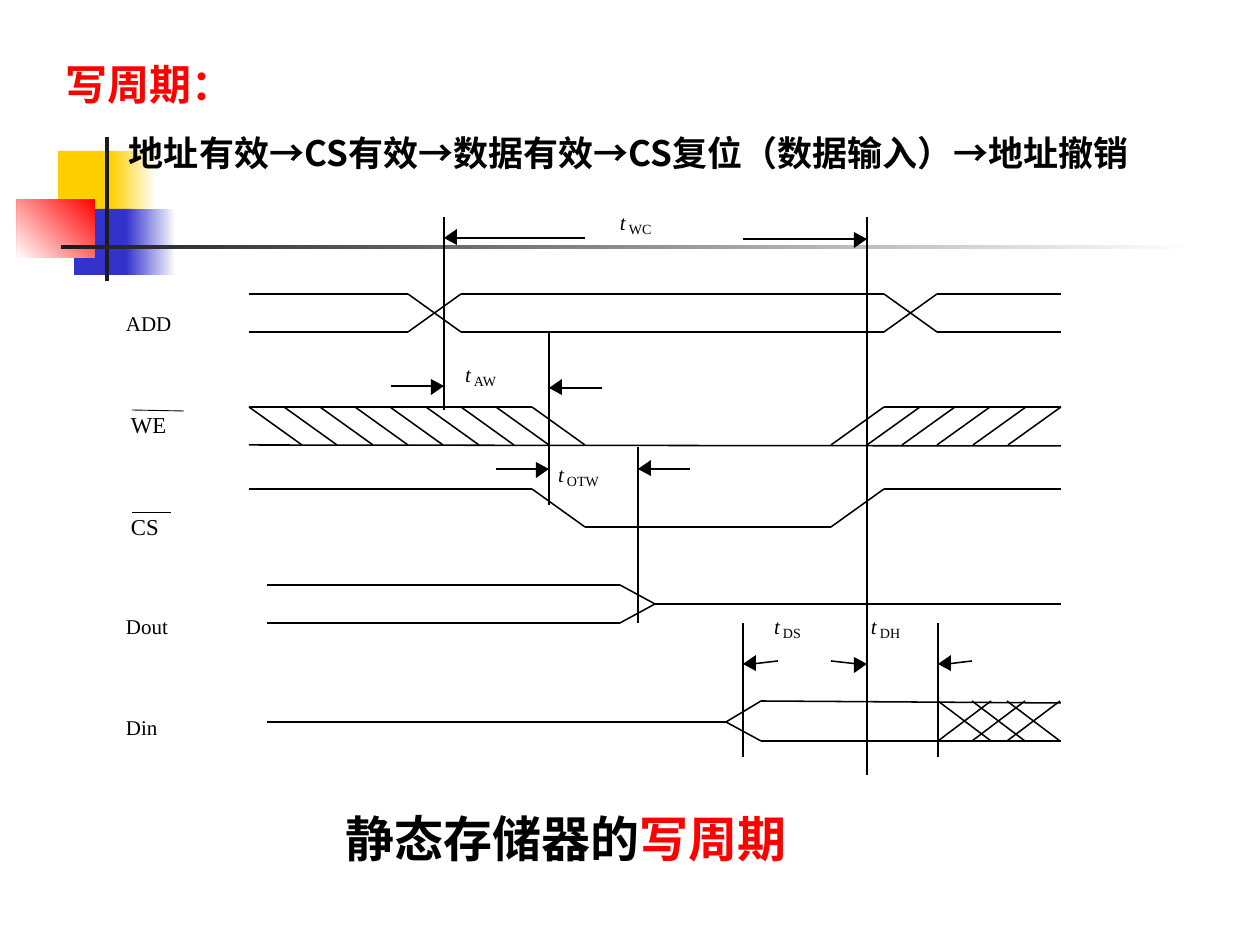
from lxml.etree import SubElement
from pptx import Presentation
from pptx.dml.color import RGBColor as RGB
from pptx.enum.shapes import MSO_CONNECTOR as CONN, MSO_SHAPE as SHAPE
from pptx.oxml.ns import qn
from pptx.util import Pt

PX = 914400 / 126
THEME = {
    "black": "000000", "red": "FF0000", "white": "FFFFFF", "yellow": "FFCF01",
    "blue": "3333CC", "dark": "1C1C1C",
    "cjk": "Noto Sans CJK SC", "arrow": "Arial", "label": "Times New Roman",
    "caption": 28, "heading": 24, "steps": 20, "pin": 12, "barred": 13, "sub": 8,
    "wire": 0.88, "bar": 0.5,
}


def emu(*lengths):
    return [round(v * PX) for v in lengths]


def add_text(box, paragraphs, wrap=True, inset=(0, 0)):
    """Each paragraph is a list of runs: text, font, size, colour, bold, italic."""
    s = shapes.add_textbox(*emu(*box))
    tf = s.text_frame
    tf.word_wrap = wrap
    tf.margin_left = tf.margin_right = emu(inset[0])[0]
    tf.margin_top = tf.margin_bottom = emu(inset[1])[0]
    for i, runs in enumerate(paragraphs):
        p = tf.add_paragraph() if i else tf.paragraphs[0]
        for text, font, size, color, bold, italic in runs:
            r = p.add_run()
            r.text = text
            r.font.name, r.font.size = THEME[font], Pt(THEME[size])
            r.font.bold, r.font.italic = bold, italic
            r.font.color.rgb = RGB.from_string(THEME[color])
            SubElement(r.font._element, qn("a:ea"), typeface=THEME["cjk"])
    return tf


prs = Presentation()
prs.slide_width, prs.slide_height = emu(1260, 945)
slide = prs.slides.add_slide(prs.slide_layouts[6])
shapes = slide.shapes

# Corner ornament: box, colours from start to end, gradient angle
ornament = [
    ((58, 151, 60, 66), ["yellow"], 0),
    ((111, 151, 45, 66), ["white", "yellow"], 180),
    ((74, 209, 58, 66), ["blue"], 0),
    ((126, 209, 50, 66), ["white", "blue"], 180),
    ((17, 199, 78, 59), ["red", "white"], 225),
    ((105, 137, 4, 144), ["dark"], 0),
    ((61, 245, 1134, 4), ["white", "dark"], 180),
]
for box, colors, angle in ornament:
    s = shapes.add_shape(SHAPE.RECTANGLE, *emu(*box))
    s.shadow.inherit = False
    s.line.fill.background()
    if len(colors) == 1:
        s.fill.solid()
        s.fill.fore_color.rgb = RGB.from_string(THEME[colors[0]])
    else:
        s.fill.gradient()
        s.fill.gradient_angle = angle
        for stop, color, position in zip(s.fill.gradient_stops, colors, (0, 1)):
            stop.color.rgb = RGB.from_string(THEME[color])
            stop.position = position

# Caption and signal names
add_text((346, 809, 557, 59), [[
    ("静态存储器的", "cjk", "caption", "black", True, False),
    ("写周期", "cjk", "caption", "red", True, False)]])

for text, x, y, size in [("ADD", 126, 311, "pin"), ("WE", 131, 411, "barred"),
                         ("CS", 131, 513, "barred"), ("Dout", 126, 614, "pin"),
                         ("Din", 126, 715, "pin")]:
    add_text((x, y, 60, 26), [[(text, "label", size, "black", False, False)]], wrap=False)

for sub, x, y in [("WC", 620, 210), ("AW", 465, 362), ("OTW", 558, 462),
                  ("DS", 774, 614), ("DH", 871, 614)]:
    add_text((x, y, 8, 25), [[("t", "label", "pin", "black", False, True)]], wrap=False)
    add_text((x + 9, y + 11, 48, 16), [[(sub, "label", "sub", "black", False, False)]], wrap=False)

# Waveforms and time marks: x1, y1, x2, y2
bars = [(132, 410, 184, 411), (132, 512, 171, 512)]
address = [(x1, y, x2, y) for x1, x2 in [(249, 408), (461, 884), (937, 1061)] for y in (294, 332)]
address += [line for x in (408, 884) for line in [(x, 294, x + 53, 332), (x + 53, 294, x, 332)]]
write_enable = [(249, 407, 532, 407), (249, 445, 1061, 446), (884, 407, 1061, 407),
                (532, 407, 585, 445), (884, 407, 831, 445)]
write_enable += [(x, 407, x + 53, 445) for x in (round(249 + 35.3 * i) for i in range(8))]
write_enable += [(x + 53, 407, x, 445) for x in (round(867 + 35.2 * i) for i in range(5))]
chip_select = [(249, 489, 532, 489), (532, 489, 585, 527), (585, 527, 831, 527),
               (831, 527, 884, 489), (884, 489, 1061, 489)]
data_out = [(267, 585, 620, 585), (267, 623, 620, 623), (620, 585, 655, 604),
            (620, 623, 655, 604), (655, 604, 1061, 604)]
data_in = [(267, 722, 726, 722), (726, 722, 761, 701), (726, 722, 761, 741),
           (761, 701, 1061, 703), (761, 741, 1061, 741)]
data_in += [line for x in (938, 972, 1007)
            for line in [(x, 701, x + 53, 741), (x + 53, 701, x, 741)]]
marks = [(444, 410, 444, 217), (549, 505, 549, 332), (867, 775, 867, 217),
         (638, 623, 638, 447), (743, 757, 743, 623), (938, 757, 938, 623)]

# Dimension arrows: tail x, tail y, tip x, tip y
arrows = [(585, 238, 444, 238), (743, 239, 867, 239), (391, 386, 444, 386),
          (602, 388, 549, 388), (496, 469, 549, 469), (690, 469, 638, 469),
          (778, 661, 743, 664), (831, 661, 867, 664), (972, 661, 938, 664)]
shafts = []
for x1, y1, x2, y2 in arrows:
    way = 1 if x2 > x1 else -1
    shafts.append((x1, y1, x2 - 9 * way, y2))
    back = x2 - 13 * way
    fb = shapes.build_freeform(back, y2 + (9 if way > 0 else 7), scale=PX)
    fb.add_line_segments([(x2, y2), (back, y2 - (7 if way > 0 else 9))])
    s = fb.convert_to_shape()
    s.shadow.inherit = False
    s.fill.solid()
    s.fill.fore_color.rgb = RGB.from_string(THEME["black"])
    s.line.fill.background()

wires = address + write_enable + chip_select + data_out + data_in + marks + shafts
for lines, width in [(bars, "bar"), (wires, "wire")]:
    for line in lines:
        s = shapes.add_connector(CONN.STRAIGHT, *emu(*line))
        s.line.color.rgb = RGB.from_string(THEME["black"])
        s.line.width = Pt(THEME[width])
        SubElement(s._element.spPr, qn("a:effectLst"))

# Heading with the order of steps
steps = ["地址有效", "→", "CS有效", "→", "数据有效", "→", "CS复位（数据输入）", "→", "地址撤销"]
heading = add_text((53, 53, 1166, 127), [
    [("写周期：", "cjk", "heading", "red", True, False)],
    [(t, "arrow" if t == "→" else "cjk", "steps", "black", True, False) for t in steps],
], inset=(13, 6))
p = heading.paragraphs[1]
p.space_before = Pt(12.5)
pPr = p._p.get_or_add_pPr()
pPr.set("marL", str(emu(63)[0]))
pPr.set("indent", "0")

prs.save("out.pptx")
